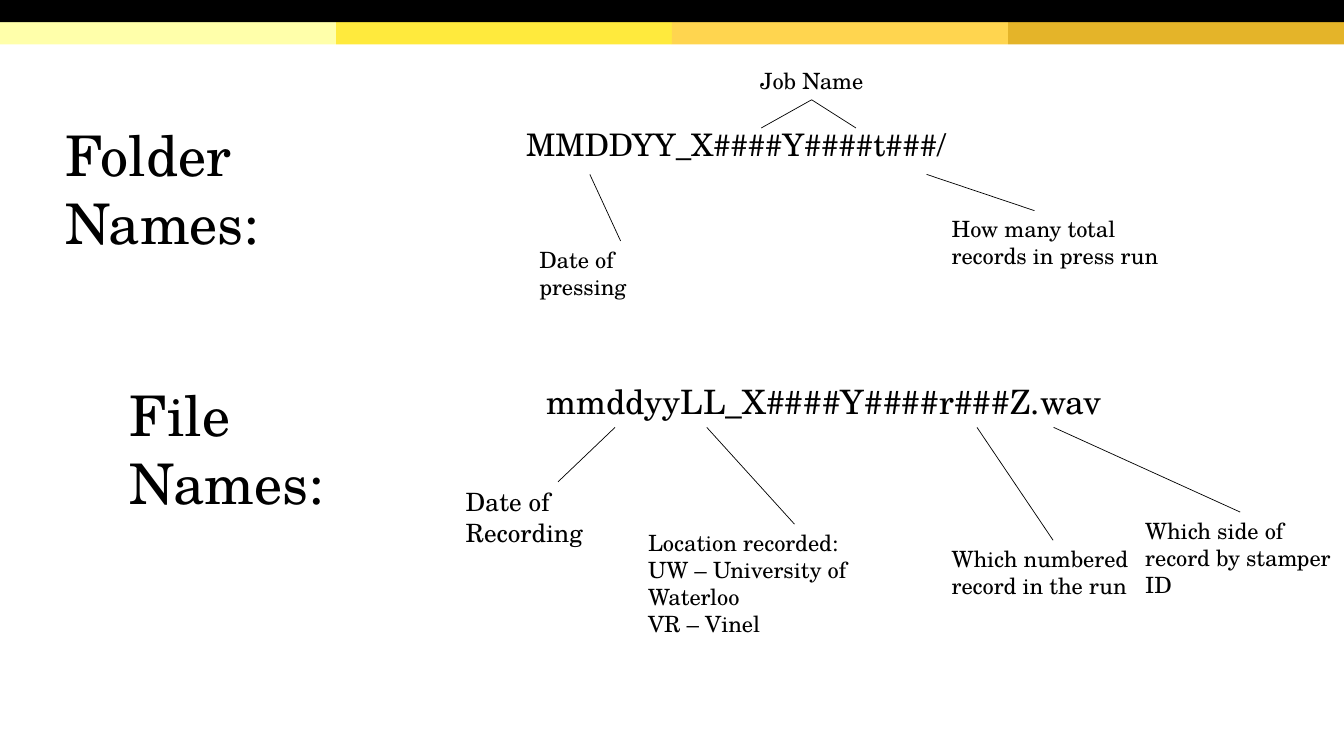
from pptx import Presentation
from pptx.dml.color import RGBColor
from pptx.enum.shapes import MSO_CONNECTOR, MSO_SHAPE
from pptx.enum.text import PP_ALIGN
from pptx.oxml.ns import qn
from pptx.util import Inches, Pt

FONT = "TeX Gyre Schola"
BLACK = RGBColor(0x00, 0x00, 0x00)
BAND_COLORS = [
    RGBColor(0xFF, 0xFF, 0xAA),
    RGBColor(0xFF, 0xEA, 0x3D),
    RGBColor(0xFF, 0xD5, 0x4F),
    RGBColor(0xE4, 0xB4, 0x29),
]
SLIDE_WIDTH = 13.33
BAND_HEIGHT = 0.22
TOP, BOTTOM = 0, 2  # connection sites of a rectangle


def add_bar(slide, left, top, width, color):
    bar = slide.shapes.add_shape(MSO_SHAPE.RECTANGLE, Inches(left), Inches(top),
                                 Inches(width), Inches(BAND_HEIGHT))
    bar.shadow.inherit = False
    bar.fill.solid()
    bar.fill.fore_color.rgb = color
    bar.line.fill.background()


def add_text(slide, lines, left, top, width, height, size=16,
             align=PP_ALIGN.LEFT, line_spacing=None):
    box = slide.shapes.add_textbox(Inches(left), Inches(top), Inches(width), Inches(height))
    frame = box.text_frame
    frame.word_wrap = True
    frame.text = "\n".join(lines)
    for paragraph in frame.paragraphs:
        paragraph.alignment = align
        paragraph.line_spacing = line_spacing
        paragraph.font.name = FONT
        paragraph.font.size = Pt(size)
        paragraph.font.color.rgb = BLACK
    return box


def add_leader(slide, start, end, label=None, site=TOP):
    """Draw a thin line from the name pattern to its label."""
    line = slide.shapes.add_connector(MSO_CONNECTOR.STRAIGHT, Inches(start[0]), Inches(start[1]),
                                      Inches(end[0]), Inches(end[1]))
    line.line.color.rgb = BLACK
    line.line.width = Pt(0.5)
    properties = line._element.spPr
    properties.append(properties.makeelement(qn("a:effectLst"), {}))
    if label is not None:
        line.end_connect(label, site)


def add_header_bands(slide):
    band_width = SLIDE_WIDTH / len(BAND_COLORS)
    for index, color in enumerate(BAND_COLORS):
        add_bar(slide, index * band_width, BAND_HEIGHT, band_width, color)
    add_bar(slide, 0, 0, SLIDE_WIDTH, BLACK)


def add_folder_names(slide):
    # Heading and pattern
    add_text(slide, ["Folder Names:"], 0.55, 1.15, 3.63, 0.77, size=40)
    add_text(slide, ["MMDDYY_X####Y####t###/"], 5.12, 1.27, 4.86, 0.53,
             size=22.2, line_spacing=0.8)

    # Labels
    job_name = add_text(slide, ["Job Name"], 6.69, 0.62, 2.72, 0.37, align=PP_ALIGN.CENTER)
    pressing_date = add_text(slide, ["Date of pressing"], 5.25, 2.39, 1.81, 0.37)
    add_text(slide, ["How many total", "records in press run"], 9.34, 2.09, 2.28, 0.64)

    # Leader lines
    for pattern_x in (7.55, 8.49):
        add_leader(slide, (pattern_x, 1.27), (8.05, 0.99), job_name, BOTTOM)
    add_leader(slide, (5.85, 1.73), (6.16, 2.39), pressing_date)
    add_leader(slide, (9.19, 1.73), (10.26, 2.09))


def add_file_names(slide):
    # Heading and pattern
    add_text(slide, ["File Names:"], 1.19, 3.73, 2.85, 0.77, size=40)
    add_text(slide, ["mmddyyLL_X####Y####r###Z.wav"], 5.32, 3.73, 6.69, 0.91, size=24)

    # Labels, each with the pattern position its leader line starts from
    labels = [
        (6.1, ["Date of Recording"], 4.52, 4.78, 2.03, 0.4, 18),
        (7.01, ["Location recorded:", "UW – University of Waterloo", "VR – Vinel"],
         6.33, 5.2, 3.1, 0.94, 16),
        (9.69, ["Which numbered record in the run"], 9.34, 5.36, 2.21, 0.64, 16),
        (10.45, ["Which side of record by stamper ID"], 11.26, 5.08, 2.08, 0.92, 16),
    ]
    for pattern_x, lines, left, top, width, height, size in labels:
        label = add_text(slide, lines, left, top, width, height, size)
        add_leader(slide, (pattern_x, 4.24), (left + width / 2, top), label)


def main():
    presentation = Presentation()
    presentation.slide_width = Inches(SLIDE_WIDTH)
    presentation.slide_height = Inches(7.5)
    slide = presentation.slides.add_slide(presentation.slide_layouts[6])
    add_header_bands(slide)
    add_folder_names(slide)
    add_file_names(slide)
    presentation.save("out.pptx")


if __name__ == "__main__":
    main()
